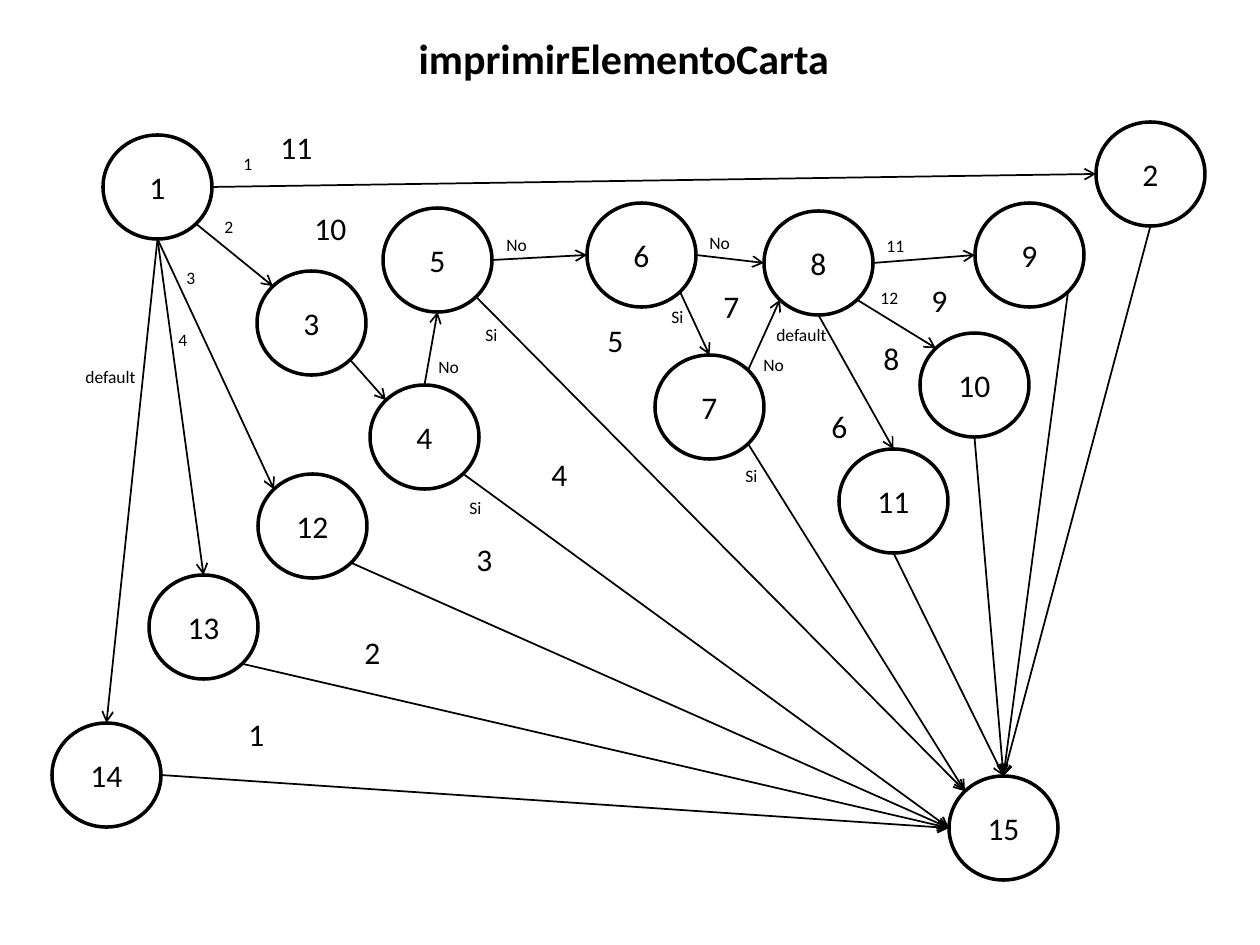
import pptx
import pptx.util
import pptx.enum.shapes
import pptx.enum.text
import pptx.dml.color
import pptx.oxml.ns
import lxml.etree

INK = {"line": "000000", "text": "000000"}
SCALE = 914400 / 126
SITES = ["t", "tl", "l", "bl", "b", "br", "r", "tr"]
WIDE, HIGH = 109, 104

NODES = {
    "1": (103, 135), "2": (1096, 122), "3": (257, 271),
    "4": (370, 385), "5": (383, 208), "6": (587, 203),
    "7": (655, 355), "8": (764, 211), "9": (975, 203),
    "10": (920, 333), "11": (839, 449), "12": (258, 474),
    "13": (149, 575), "14": (52, 723), "15": (949, 776),
}
EDGES = [
    ("1", "r", "2", "l"), ("1", "br", "3", "tl"), ("1", "b", "12", "tl"),
    ("1", "b", "13", "t"), ("1", "b", "14", "t"), ("2", "b", "15", "t"),
    ("12", "br", "15", "l"), ("13", "br", "15", "l"), ("14", "r", "15", "l"),
    ("3", "br", "4", "tl"), ("4", "br", "15", "l"), ("4", "t", "5", "b"),
    ("5", "br", "15", "tl"), ("5", "r", "6", "l"), ("6", "br", "7", "t"),
    ("6", "r", "8", "l"), ("7", "br", "15", "tl"), ("7", "tr", "8", "bl"),
    ("8", "r", "9", "l"), ("8", "br", "10", "tl"), ("8", "b", "11", "t"),
    ("9", "br", "15", "t"), ("10", "b", "15", "t"), ("11", "b", "15", "t"),
]
ZONES = [
    ("1", 236, 709), ("2", 352, 627), ("3", 464, 534), ("4", 539, 449),
    ("5", 595, 315), ("6", 819, 401), ("7", 711, 281), ("8", 871, 333),
    ("9", 919, 275), ("10", 302, 203), ("11", 268, 122),
]
TAGS = [
    ("Si", 457, 491), ("Si", 473, 318), ("Si", 659, 300), ("Si", 733, 459),
    ("1", 231, 147), ("2", 212, 210), ("3", 174, 261), ("4", 166, 323),
    ("default", 73, 360), ("No", 426, 350), ("No", 494, 228),
    ("No", 697, 226), ("No", 751, 348), ("11", 874, 229),
    ("12", 868, 281), ("default", 764, 318),
]
ZONE_WIDE = {1: 42, 2: 58}
TAG_WIDE = {"Si": 38, "No": 47, "default": 77, "11": 44, "12": 44}


def px(num):
    return pptx.util.Emu(round(num * SCALE))


def color(name):
    return pptx.dml.color.RGBColor.from_string(INK[name])


class Graph:
    def __init__(self, slide, font):
        self.slide = slide
        self.font = font
        self.nodes = {}

    def style(self, frame, text, size, bold=False, center=False):
        frame.text = text
        line = frame.paragraphs[0]
        if center:
            line.alignment = pptx.enum.text.PP_ALIGN.CENTER
        font = line.runs[0].font
        font.name, font.size, font.bold = self.font, pptx.util.Pt(size), bold
        font.color.rgb = color("text")

    def node(self, name, x, y):
        oval = self.slide.shapes.add_shape(
            pptx.enum.shapes.MSO_SHAPE.OVAL, px(x), px(y), px(WIDE), px(HIGH))
        oval.shadow.inherit = False
        oval.fill.background()
        oval.line.color.rgb = color("line")
        oval.line.width = pptx.util.Pt(2)
        oval.text_frame.vertical_anchor = pptx.enum.text.MSO_ANCHOR.MIDDLE
        self.style(oval.text_frame, name, 18, center=True)
        self.nodes[name] = oval

    def site(self, name, side):
        oval = self.nodes[name]
        reach = 0.5 * (0.5 ** 0.5 if len(side) == 2 else 1)
        right = ("r" in side) - ("l" in side)
        down = ("b" in side) - ("t" in side)
        return (round(oval.left + oval.width * (0.5 + right * reach)),
                round(oval.top + oval.height * (0.5 + down * reach)))

    def edge(self, start, out, end, into):
        link = self.slide.shapes.add_connector(
            pptx.enum.shapes.MSO_CONNECTOR.STRAIGHT,
            *self.site(start, out), *self.site(end, into))
        link.line.color.rgb = color("line")
        link.line.width = pptx.util.Pt(1)
        qn = pptx.oxml.ns.qn
        glue = link._element.find(".//" + qn("p:cNvCxnSpPr"))
        for tag, name, side in (("a:stCxn", start, out), ("a:endCxn", end, into)):
            lxml.etree.SubElement(glue, qn(tag), id=str(self.nodes[name].shape_id),
                                  idx=str(SITES.index(side)))
        props = link._element.spPr
        lxml.etree.SubElement(props.find(qn("a:ln")), qn("a:tailEnd"), type="arrow")
        lxml.etree.SubElement(props, qn("a:effectLst"))

    def label(self, text, x, y, wide, high, size, title=False):
        box = self.slide.shapes.add_textbox(px(x), px(y), px(wide), px(high))
        box.text_frame.word_wrap = title
        box.text_frame.auto_size = pptx.enum.text.MSO_AUTO_SIZE.SHAPE_TO_FIT_TEXT
        self.style(box.text_frame, text, size, bold=title, center=title)


def main():
    deck = pptx.Presentation()
    deck.slide_width, deck.slide_height = px(1260), px(945)
    graph = Graph(deck.slides.add_slide(deck.slide_layouts[6]), "Calibri")
    for name, (x, y) in NODES.items():
        graph.node(name, x, y)
    for edge in EDGES:
        graph.edge(*edge)
    graph.label("imprimirElementoCarta", 132, 26, 984, 63, 24, title=True)
    for text, x, y in ZONES:
        graph.label(text, x, y, ZONE_WIDE[len(text)], 50, 18)
    for text, x, y in TAGS:
        graph.label(text, x, y, TAG_WIDE.get(text, 34), 34, 10)
    deck.save("out.pptx")


if __name__ == "__main__":
    main()
